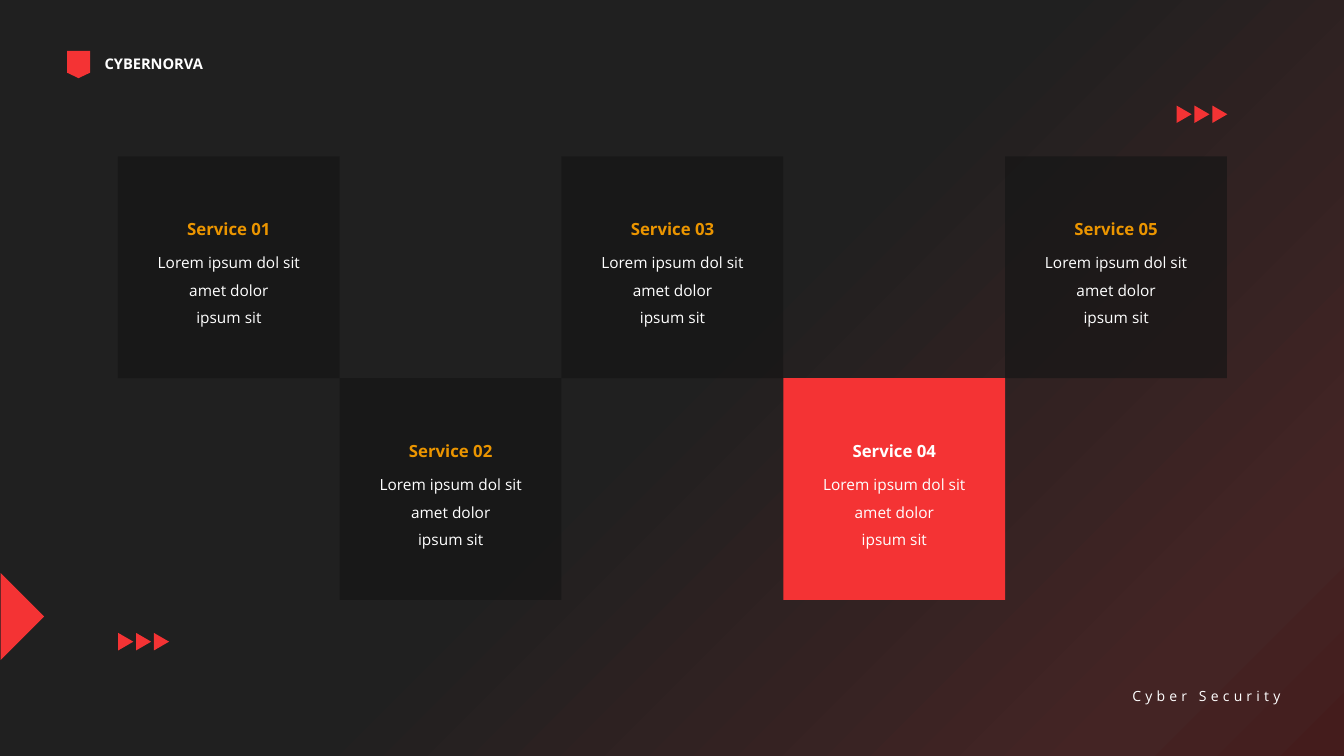
import dataclasses

import pptx
import pptx.dml.color
import pptx.enum.shapes
import pptx.enum.text
import pptx.oxml.ns
import pptx.util
from lxml import etree

Cm = pptx.util.Cm
qn = pptx.oxml.ns.qn
Shape = pptx.enum.shapes.MSO_SHAPE
Align = pptx.enum.text.PP_ALIGN
AutoSize = pptx.enum.text.MSO_AUTO_SIZE


@dataclasses.dataclass(frozen=True)
class Theme:
    """Colours and type sizes of the slide."""
    font: str = "Open Sans"
    red: str = "F43334"
    amber: str = "EB9500"
    white: str = "FFFFFF"
    tile: str = "161616"
    tile_opacity: int = 70
    backdrop: tuple = ((0, "202020"), (50, "202020"), (88, "442424"), (100, "441C1C"))
    brand_size: float = 10.5
    tagline_size: float = 10
    heading_size: float = 12
    body_size: float = 11


THEME = Theme()
TILE = 5.59
GRID_LEFT, GRID_TOP = 2.97, 3.94
SERVICES = ("Service 01", "Service 02", "Service 03", "Service 04", "Service 05")
HIGHLIGHTED = "Service 04"
DESCRIPTION = ("Lorem ipsum dol sit amet dolor", "ipsum sit")


def paint_backdrop(slide):
    """Fill the slide background with the diagonal gradient."""
    fill = slide.background.fill
    fill.gradient()
    fill.gradient_angle = 315
    stops = slide.element.find(".//" + qn("a:gsLst"))
    for stop in list(stops):
        stops.remove(stop)
    for percent, colour in THEME.backdrop:
        stop = etree.SubElement(stops, qn("a:gs"), pos=str(percent * 1000))
        etree.SubElement(stop, qn("a:srgbClr"), val=colour)


def add_block(slide, kind, left, top, width, height, colour, rotation=0, opacity=100):
    """Add a flat, borderless preset shape."""
    block = slide.shapes.add_shape(kind, Cm(left), Cm(top), Cm(width), Cm(height))
    block.shadow.inherit = False
    block.rotation = rotation
    block.line.fill.background()
    block.fill.solid()
    block.fill.fore_color.rgb = pptx.dml.color.RGBColor.from_string(colour)
    if opacity < 100:
        tint = block.element.spPr.find(qn("a:solidFill")).find(qn("a:srgbClr"))
        etree.SubElement(tint, qn("a:alpha"), val=str(opacity * 1000))


def add_run(paragraph, text, size, colour, bold=False):
    """Append a formatted run and return it."""
    run = paragraph.add_run()
    run.text = text
    run.font.name = THEME.font
    run.font.size = pptx.util.Pt(size)
    run.font.bold = bold
    run.font.color.rgb = pptx.dml.color.RGBColor.from_string(colour)
    return run


def add_text(slide, left, top, width, height, lines, size, colour,
             bold=False, align=Align.CENTER, spacing=1.5, wrap=True):
    """Add a text box with one paragraph per line."""
    box = slide.shapes.add_textbox(Cm(left), Cm(top), Cm(width), Cm(height))
    frame = box.text_frame
    frame.word_wrap = wrap
    frame.auto_size = AutoSize.SHAPE_TO_FIT_TEXT
    for index, line in enumerate(lines):
        paragraph = frame.add_paragraph() if index else frame.paragraphs[0]
        paragraph.alignment = align
        paragraph.line_spacing = spacing
        add_run(paragraph, line, size, colour, bold)


def add_service(slide, index, name):
    """Add one tile of the checkerboard with its heading and description."""
    left = GRID_LEFT + index * TILE
    top = GRID_TOP + index % 2 * TILE
    highlighted = name == HIGHLIGHTED
    add_block(slide, Shape.RECTANGLE, left, top, TILE, TILE,
              THEME.red if highlighted else THEME.tile,
              opacity=100 if highlighted else THEME.tile_opacity)
    add_text(slide, left + 0.69, top + 1.19, 4.22, 0.94, (name,), THEME.heading_size,
             THEME.white if highlighted else THEME.amber, bold=True)
    add_text(slide, left + 0.69, top + 2.08, 4.22, 2.29, DESCRIPTION,
             THEME.body_size, THEME.white)


def add_arrow_trio(slide, left, top):
    """Add three small triangles pointing right."""
    for index in range(3):
        add_block(slide, Shape.ISOSCELES_TRIANGLE, left + index * 0.45, top,
                  0.44, 0.38, THEME.red, rotation=90)


def set_tagline(slide, text):
    """Place the title as the letter-spaced tagline at the lower right."""
    tagline = slide.shapes.title
    tagline.left, tagline.top = Cm(27.97), Cm(17.2)
    tagline.width, tagline.height = Cm(4.55), Cm(0.69)
    frame = tagline.text_frame
    frame.word_wrap = False
    frame.auto_size = AutoSize.SHAPE_TO_FIT_TEXT
    frame.vertical_anchor = pptx.enum.text.MSO_ANCHOR.TOP
    paragraph = frame.paragraphs[0]
    paragraph.alignment = Align.RIGHT
    run = add_run(paragraph, text, THEME.tagline_size, THEME.white)
    run.font._element.set("spc", "300")


def main():
    """Build the services slide and save it."""
    deck = pptx.Presentation()
    deck.slide_width, deck.slide_height = Cm(33.87), Cm(19.05)
    slide = deck.slides.add_slide(deck.slide_layouts[5])
    paint_backdrop(slide)
    set_tagline(slide, "Cyber Security")
    add_block(slide, Shape.FLOWCHART_OFFPAGE_CONNECTOR, 1.69, 1.28, 0.58, 0.69, THEME.red)
    add_text(slide, 2.39, 1.26, 3, 0.71, ("CYBERNORVA",), THEME.brand_size, THEME.white,
             bold=True, align=Align.LEFT, spacing=1, wrap=False)
    add_block(slide, Shape.RIGHT_TRIANGLE, -0.76, 14.76, 1.55, 1.55, THEME.red, rotation=225)
    for index, name in enumerate(SERVICES):
        add_service(slide, index, name)
    add_arrow_trio(slide, 29.62, 2.69)
    add_arrow_trio(slide, 2.95, 15.98)
    deck.save("out.pptx")


if __name__ == "__main__":
    main()
